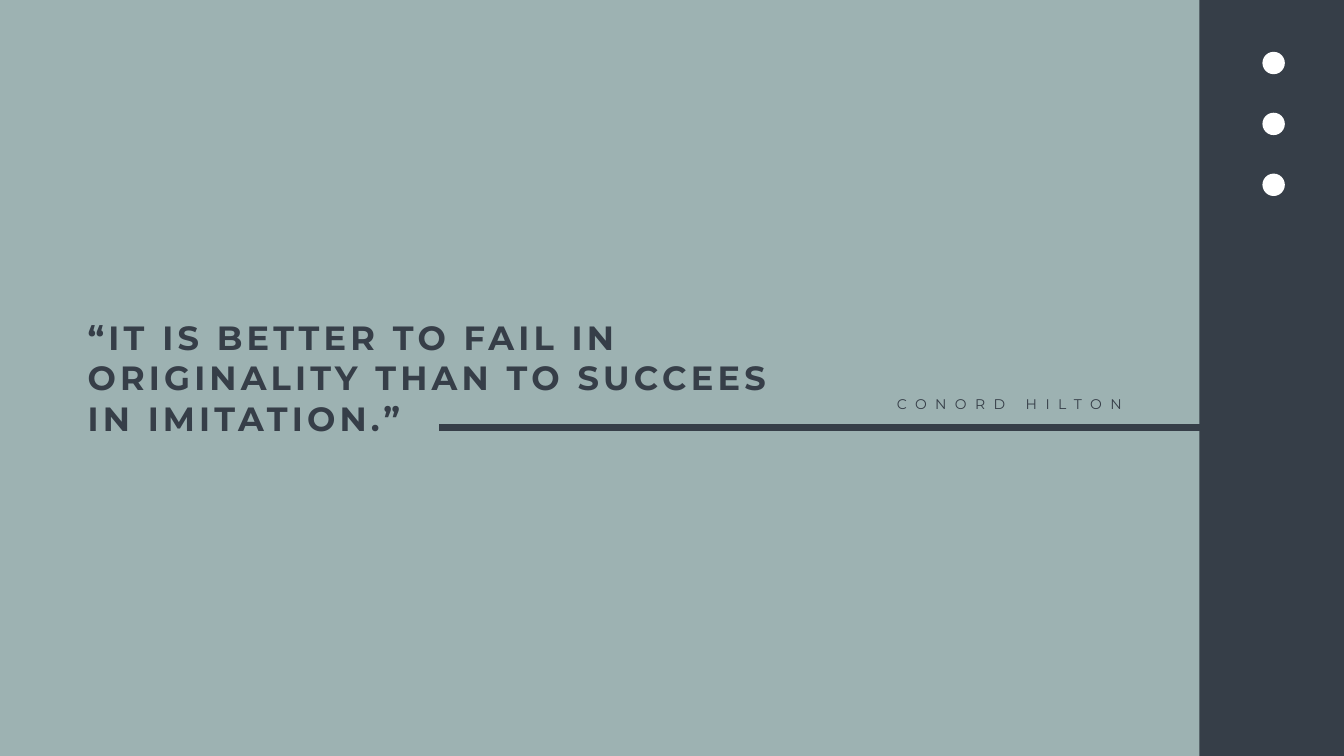
from lxml import etree
from pptx import Presentation
from pptx.dml.color import RGBColor
from pptx.enum.shapes import MSO_CONNECTOR, MSO_SHAPE
from pptx.enum.text import MSO_AUTO_SIZE
from pptx.oxml.ns import qn
from pptx.util import Pt

SLATE = RGBColor(0x36, 0x3E, 0x48)
SAGE = RGBColor(0xB7, 0xD0, 0xCD)
WHITE = RGBColor(0xFF, 0xFF, 0xFF)
FONT = "Montserrat"

SLIDE_WIDTH, SLIDE_HEIGHT = 1919.52, 1080
PANEL_WIDTH = 1712.88
ICON_SIZE, ICON_COUNT = 32, 3
ICON_CENTER_X, FIRST_ICON_Y, ICON_PITCH = 1819, 90, 87


def add_filled_shape(slide, kind, left, top, width, height, color):
    shape = slide.shapes.add_shape(kind, Pt(left), Pt(top), Pt(width), Pt(height))
    shape.shadow.inherit = False
    shape.fill.solid()
    shape.fill.fore_color.rgb = color
    shape.line.fill.background()
    return shape


def set_opacity(shape, percent):
    color = shape.fill._xPr.find(qn("a:solidFill"))[0]
    etree.SubElement(color, qn("a:alpha"), val=str(percent * 1000))


def add_spaced_text(slide, text, left, top, width, height, size, spacing, bold=False, wrap=True):
    """Add a text box whose letters are spread by the given number of points."""
    box = slide.shapes.add_textbox(Pt(left), Pt(top), Pt(width), Pt(height))
    text_frame = box.text_frame
    text_frame.text = text
    text_frame.word_wrap = wrap
    text_frame.auto_size = MSO_AUTO_SIZE.SHAPE_TO_FIT_TEXT
    run = text_frame.paragraphs[0].runs[0]
    run.font.name = FONT
    run.font.size = Pt(size)
    run.font.bold = bold
    run.font.color.rgb = SLATE
    run.font._element.set("spc", str(spacing * 100))


def add_rule(slide, start_x, end_x, y, width):
    connector = slide.shapes.add_connector(
        MSO_CONNECTOR.STRAIGHT, Pt(start_x), Pt(y), Pt(end_x), Pt(y))
    connector.line.color.rgb = SLATE
    connector.line.width = Pt(width)
    etree.SubElement(connector._element.spPr, qn("a:effectLst"))


def add_social_icons(slide):
    """Add a column of plain dots that stand for the social links."""
    for index in range(ICON_COUNT):
        center_y = FIRST_ICON_Y + index * ICON_PITCH
        add_filled_shape(slide, MSO_SHAPE.OVAL, ICON_CENTER_X - ICON_SIZE / 2,
                         center_y - ICON_SIZE / 2, ICON_SIZE, ICON_SIZE, WHITE)


def main():
    presentation = Presentation()
    presentation.slide_width = Pt(SLIDE_WIDTH)
    presentation.slide_height = Pt(SLIDE_HEIGHT)
    slide = presentation.slides.add_slide(presentation.slide_layouts[6])
    slide.background.fill.solid()
    slide.background.fill.fore_color.rgb = SLATE

    panel = add_filled_shape(slide, MSO_SHAPE.RECTANGLE, 0, 0, PANEL_WIDTH, SLIDE_HEIGHT, SAGE)
    set_opacity(panel, 80)
    add_spaced_text(slide, "“IT IS BETTER TO FAIL IN ORIGINALITY THAN TO SUCCEES IN IMITATION.”",
                    118, 449.3, 1009.4, 181.4, size=48, spacing=6, bold=True)
    add_spaced_text(slide, "CONORD HILTON", 1273.7, 560.9, 352.8, 31.7,
                    size=20, spacing=12, wrap=False)
    add_social_icons(slide)
    add_rule(slide, SLIDE_WIDTH, 627.12, 610.56, width=10)

    presentation.save("out.pptx")


if __name__ == "__main__":
    main()
